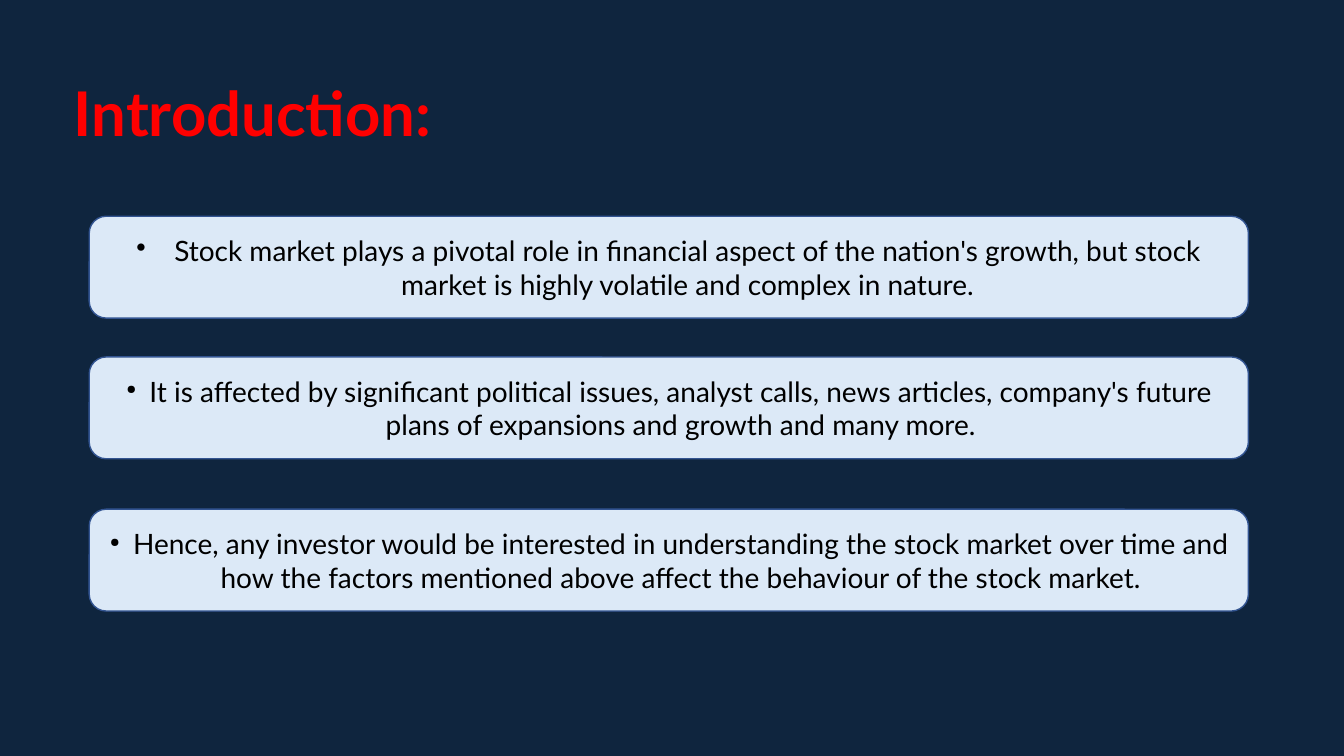
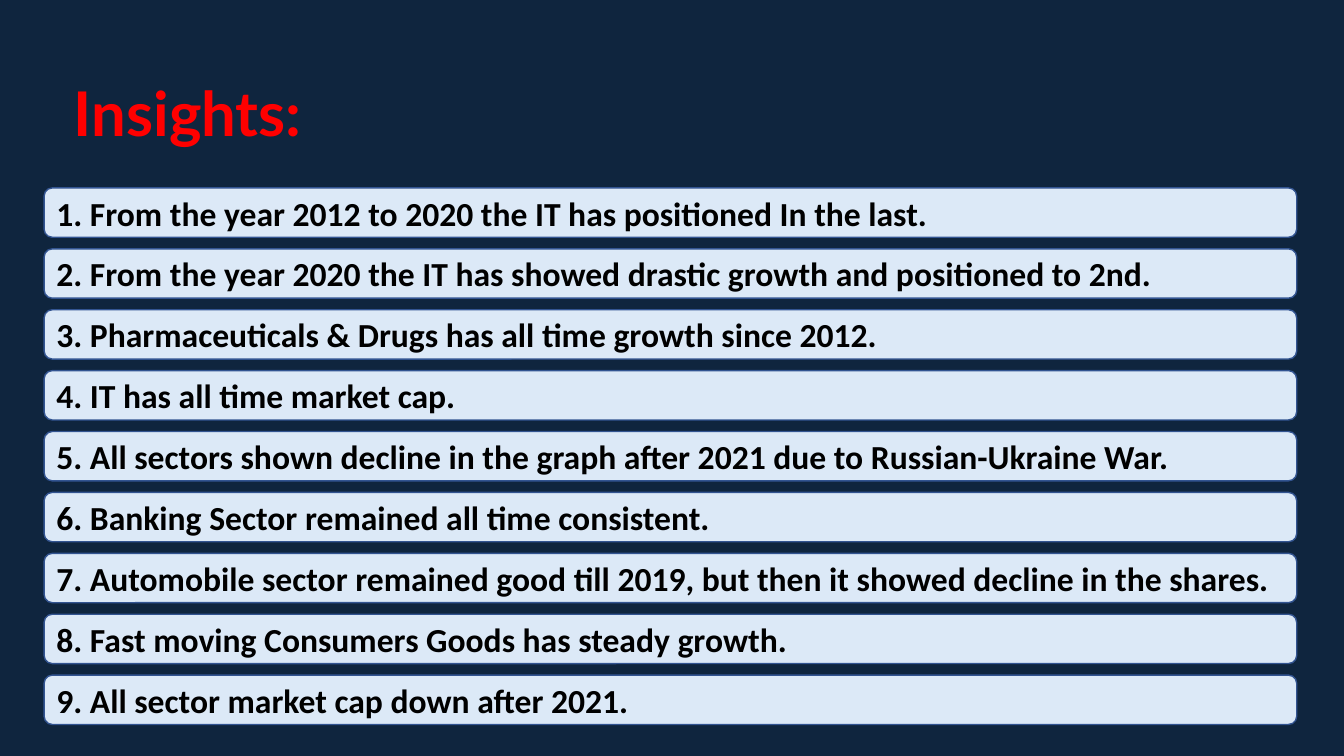
from dataclasses import dataclass

from lxml import etree
from pptx import Presentation
from pptx.dml.color import RGBColor as RGB
from pptx.enum.shapes import MSO_SHAPE as SHAPE
from pptx.enum.text import MSO_ANCHOR as ANCHOR, PP_ALIGN as ALIGN
from pptx.oxml.ns import qn
from pptx.util import Emu, Pt

PX = 9525  # EMU in one px


@dataclass(frozen=True)
class Theme:
    background: RGB = RGB(0x0F, 0x25, 0x3E)
    title: RGB = RGB(0xFF, 0x00, 0x00)
    panel: RGB = RGB(0xDC, 0xE9, 0xF7)
    outline: RGB = RGB(0x32, 0x54, 0x91)
    text: RGB = RGB(0x00, 0x00, 0x00)
    lato: str = "Lato"
    calibri: str = "Calibri"
    title_size: int = 44
    point_size: int = 20
    insight_size: int = 24
    line_width: int = 1


@dataclass(frozen=True)
class Bullet:
    """A bullet sign, its hanging indent in px and its size in percent."""
    char: str
    margin: int
    hang: int
    percent: int


THEME = Theme()
TITLE_BOX = (61, 53, 1104, 117)
DISC = Bullet("•", 36, 36, 100)
DOT = Bullet("●", 23, 22, 45)

POINTS = [
    (206, DISC, "Stock market plays a pivotal role in financial aspect of the "
     "nation's growth, but stock market is highly volatile and complex in nature."),
    (340, DOT, "It is affected by significant political issues, analyst calls, news "
     "articles, company's future plans of expansions and growth and many more."),
    (485, DOT, "Hence, any investor would be interested in understanding the stock "
     "market over time and how the factors mentioned above affect the behaviour "
     "of the stock market."),
]

INSIGHTS = [
    "From the year 2012 to 2020 the IT has positioned In the last.",
    "From the year 2020 the IT has showed drastic growth and positioned to 2nd.",
    "Pharmaceuticals & Drugs has all time growth since 2012.",
    "IT has all time market cap.",
    "All sectors shown decline in the graph after 2021 due to Russian-Ukraine War.",
    "Banking Sector remained all time consistent.",
    "Automobile sector remained good till 2019, but then it showed decline in the shares.",
    "Fast moving Consumers Goods has steady growth.",
    "All sector market cap down after 2021.",
]


def emu(box):
    return [Emu(n * PX) for n in box]


def write(sp, text, font, size, color, bold=False, align=ALIGN.LEFT):
    tf = sp.text_frame
    tf.word_wrap = True
    tf.vertical_anchor = ANCHOR.MIDDLE
    p = tf.paragraphs[0]
    p.text = text
    p.alignment = align
    p.font.name = font
    p.font.size = Pt(size)
    p.font.bold = bold
    p.font.color.rgb = color
    return p


def add_bullet(p, bullet):
    pPr = p._p.get_or_add_pPr()
    pPr.set("marL", str(bullet.margin * PX))
    pPr.set("indent", str(-bullet.hang * PX))
    marks = [etree.Element(qn(tag)) for tag in ("a:buClr", "a:buSzPct", "a:buChar")]
    color, size, char = marks
    etree.SubElement(color, qn("a:srgbClr")).set("val", str(THEME.text))
    size.set("val", str(bullet.percent * 1000))
    char.set("char", bullet.char)
    for i, mark in enumerate(marks):
        pPr.insert(i, mark)


def add_panel(s, box):
    sp = s.shapes.add_shape(SHAPE.ROUNDED_RECTANGLE, *emu(box))
    sp.shadow.inherit = False
    sp.fill.solid()
    sp.fill.fore_color.rgb = THEME.panel
    sp.line.color.rgb = THEME.outline
    sp.line.width = Pt(THEME.line_width)
    return sp


def add_titled_slide(prs, title):
    s = prs.slides.add_slide(prs.slide_layouts[6])
    s.background.fill.solid()
    s.background.fill.fore_color.rgb = THEME.background
    sp = s.shapes.add_textbox(*emu(TITLE_BOX))
    p = write(sp, title, THEME.lato, THEME.title_size, THEME.title, bold=True)
    p.line_spacing = 0.9
    return s


def add_point(s, box, bullet, text):
    p = write(add_panel(s, box), text, THEME.lato, THEME.point_size, THEME.text,
              align=ALIGN.CENTER)
    add_bullet(p, bullet)


def add_insights(s, box, insights, row_height):
    """Spread numbered rows evenly from the top to the bottom of the box."""
    left, top, width, height = box
    pitch = (height - row_height) // (len(insights) - 1)
    for i, text in enumerate(insights):
        sp = add_panel(s, (left, top + i * pitch, width, row_height))
        write(sp, f"{i + 1}. {text}", THEME.calibri, THEME.insight_size, THEME.text,
              bold=True)


def main():
    prs = Presentation()
    prs.slide_width, prs.slide_height = emu((1280, 720))

    s = add_titled_slide(prs, "Introduction:")
    for top, bullet, text in POINTS:
        add_point(s, (85, top, 1104, 97), bullet, text)

    s = add_titled_slide(prs, "Insights:")
    add_insights(s, (42, 179, 1193, 511), INSIGHTS, row_height=47)

    prs.save("out.pptx")


if __name__ == "__main__":
    main()
